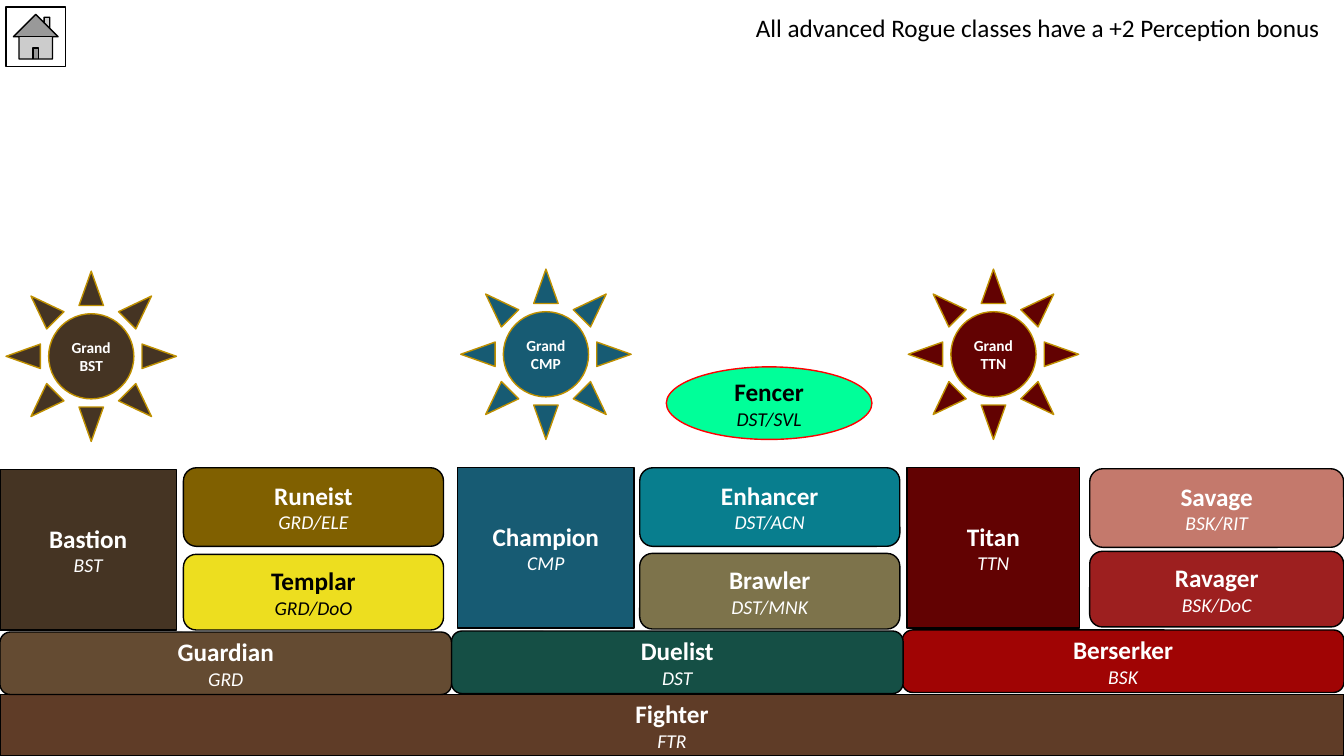
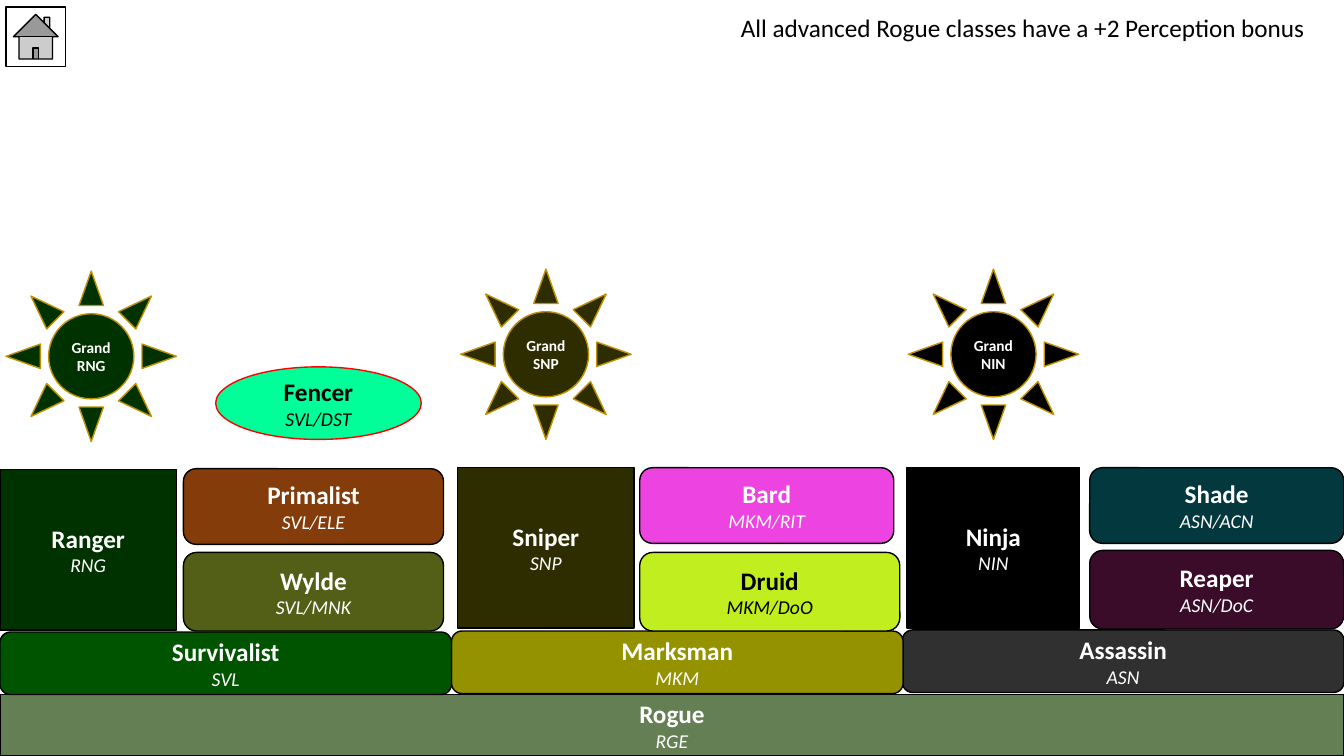
from collections import namedtuple
from pptx import Presentation
from pptx.dml.color import RGBColor
from pptx.enum.shapes import MSO_SHAPE
from pptx.enum.text import MSO_ANCHOR, MSO_AUTO_SIZE, PP_ALIGN
from pptx.util import Inches, Pt

COLOURS = {
    "white": "FFFFFF", "black": "000000", "gold": "BF9000", "red": "FF0000",
    "Fighter": "5F3C27", "Guardian": "644B32", "Duelist": "154F45", "Berserker": "A00404",
    "Bastion": "453423", "Champion": "175B73", "Titan": "620202",
    "Runeist": "806000", "Enhancer": "087E8E", "Savage": "C4796C",
    "Templar": "EDDE1F", "Brawler": "7D734B", "Ravager": "9D1F1F",
    "Rogue": "637F53", "Survivalist": "005400", "Marksman": "959200", "Assassin": "303030",
    "Ranger": "003200", "Sniper": "2E2D00", "Ninja": "000000",
    "Primalist": "843C0B", "Bard": "ED43E1", "Shade": "03383F",
    "Wylde": "535F17", "Druid": "C1EE1E", "Reaper": "3A0C2A",
    "Fencer": "00FF99",
}
DARK_TEXT = {"Templar", "Druid", "Fencer"}
NOTE = "All advanced Rogue classes have a +2 Perception bonus"

Column = namedtuple("Column", "tier tower sun card_left card_width")
COLUMNS = [
    Column((0, 83.6, 33.6, 8.27), (0, 62.13, 13.13, 21.2), (0.45, 35.87), 13.65, 19.35),
    Column((33.6, 83.47, 33.6, 8.27), (34.05, 61.87, 13.13, 21.2), (34.28, 35.6), 47.6, 19.35),
    Column((67.13, 83.33, 32.87, 8.27), (67.5, 61.87, 12.83, 21.2), (67.58, 35.6), 81.08, 18.9),
]

PAGES = [
    {
        "base": ("Fighter", "FTR"),
        "tiers": [("Guardian", "GRD"), ("Duelist", "DST"), ("Berserker", "BSK")],
        "towers": [("Bastion", "BST"), ("Champion", "CMP"), ("Titan", "TTN")],
        "cards": [
            (10.4, [("Runeist", "GRD/ELE", 61.87), ("Enhancer", "DST/ACN", 61.87),
                    ("Savage", "BSK/RIT", 62)]),
            (10, [("Templar", "GRD/DoO", 73.33), ("Brawler", "DST/MNK", 73.2),
                  ("Ravager", "BSK/DoC", 72.93)]),
        ],
        "fencer": ("DST/SVL", 49.58),
        "note_left": 55.5,
    },
    {
        "base": ("Rogue", "RGE"),
        "tiers": [("Survivalist", "SVL"), ("Marksman", "MKM"), ("Assassin", "ASN")],
        "towers": [("Ranger", "RNG"), ("Sniper", "SNP"), ("Ninja", "NIN")],
        "cards": [
            (10, [("Primalist", "SVL/ELE", 62), ("Bard", "MKM/RIT", 61.87),
                  ("Shade", "ASN/ACN", 61.87)]),
            (10.4, [("Wylde", "SVL/MNK", 73.07), ("Druid", "MKM/DoO", 73.07),
                    ("Reaper", "ASN/DoC", 72.8)]),
        ],
        "fencer": ("SVL/DST", 16.05),
        "note_left": 54.38,
    },
]
CARD_WIDTHS = {"Bard": 18.9}


class ClassChart:
    font = "Calibri"

    def __init__(self):
        self.deck = Presentation()
        self.deck.slide_width = Inches(13.33)
        self.deck.slide_height = Inches(7.5)
        self.page = None

    def add_page(self):
        self.page = self.deck.slides.add_slide(self.deck.slide_layouts[6])

    def place(self, left, top, width, height):
        across, down = self.deck.slide_width / 100, self.deck.slide_height / 100
        return int(left * across), int(top * down), int(width * across), int(height * down)

    def shape(self, kind, area, fill, line="black"):
        box = self.page.shapes.add_shape(kind, *self.place(*area))
        box.shadow.inherit = False
        box.fill.solid()
        box.fill.fore_color.rgb = RGBColor.from_string(COLOURS[fill])
        box.line.color.rgb = RGBColor.from_string(COLOURS[line])
        box.line.width = Pt(1)
        box.text_frame.vertical_anchor = MSO_ANCHOR.MIDDLE
        return box

    def set_text(self, para, text, size, colour="white", bold=False, italic=False):
        para.text = text
        para.font.name = self.font
        para.font.size = Pt(size)
        para.font.bold = bold
        para.font.italic = italic
        para.font.color.rgb = RGBColor.from_string(COLOURS[colour])

    def block(self, kind, area, name, code, line="black"):
        frame = self.shape(kind, area, name, line).text_frame
        colour = "black" if name in DARK_TEXT else "white"
        self.set_text(frame.paragraphs[0], name, 18, colour, bold=True)
        self.set_text(frame.add_paragraph(), code, 14, colour, italic=True)
        for para in frame.paragraphs:
            para.alignment = PP_ALIGN.CENTER

    def sun(self, corner, name, code):
        box = self.shape(MSO_SHAPE.SUN, (*corner, 12.68, 22.53), name, "gold")
        para = box.text_frame.paragraphs[0]
        self.set_text(para, f"Grand\v{code}", 11, bold=True)
        para.alignment = PP_ALIGN.CENTER

    def home(self):
        self.shape(MSO_SHAPE.ACTION_BUTTON_HOME, (0.45, 0.93, 4.43, 7.87), "white")

    def note(self, left):
        box = self.page.shapes.add_textbox(*self.place(left, 0.93, 43.95, 5.33))
        box.text_frame.word_wrap = False
        box.text_frame.auto_size = MSO_AUTO_SIZE.SHAPE_TO_FIT_TEXT
        self.set_text(box.text_frame.paragraphs[0], NOTE, 18, "black")


chart = ClassChart()
for content in PAGES:
    chart.add_page()
    chart.block(MSO_SHAPE.RECTANGLE, (0, 91.87, 100, 8.13), *content["base"])
    for column, tier in reversed(list(zip(COLUMNS, content["tiers"]))):
        chart.block(MSO_SHAPE.ROUNDED_RECTANGLE, column.tier, *tier)
    for column, tower in zip(COLUMNS, content["towers"]):
        chart.block(MSO_SHAPE.RECTANGLE, column.tower, *tower)
        chart.sun(column.sun, *tower)
    for height, cards in content["cards"]:
        for column, (name, code, top) in zip(COLUMNS, cards):
            width = CARD_WIDTHS.get(name, column.card_width)
            area = (column.card_left, top, width, height)
            chart.block(MSO_SHAPE.ROUNDED_RECTANGLE, area, name, code)
    fencer_code, fencer_left = content["fencer"]
    chart.block(MSO_SHAPE.OVAL, (fencer_left, 48.53, 15.3, 9.6), "Fencer", fencer_code, "red")
    chart.home()
    chart.note(content["note_left"])
chart.deck.save("out.pptx")
